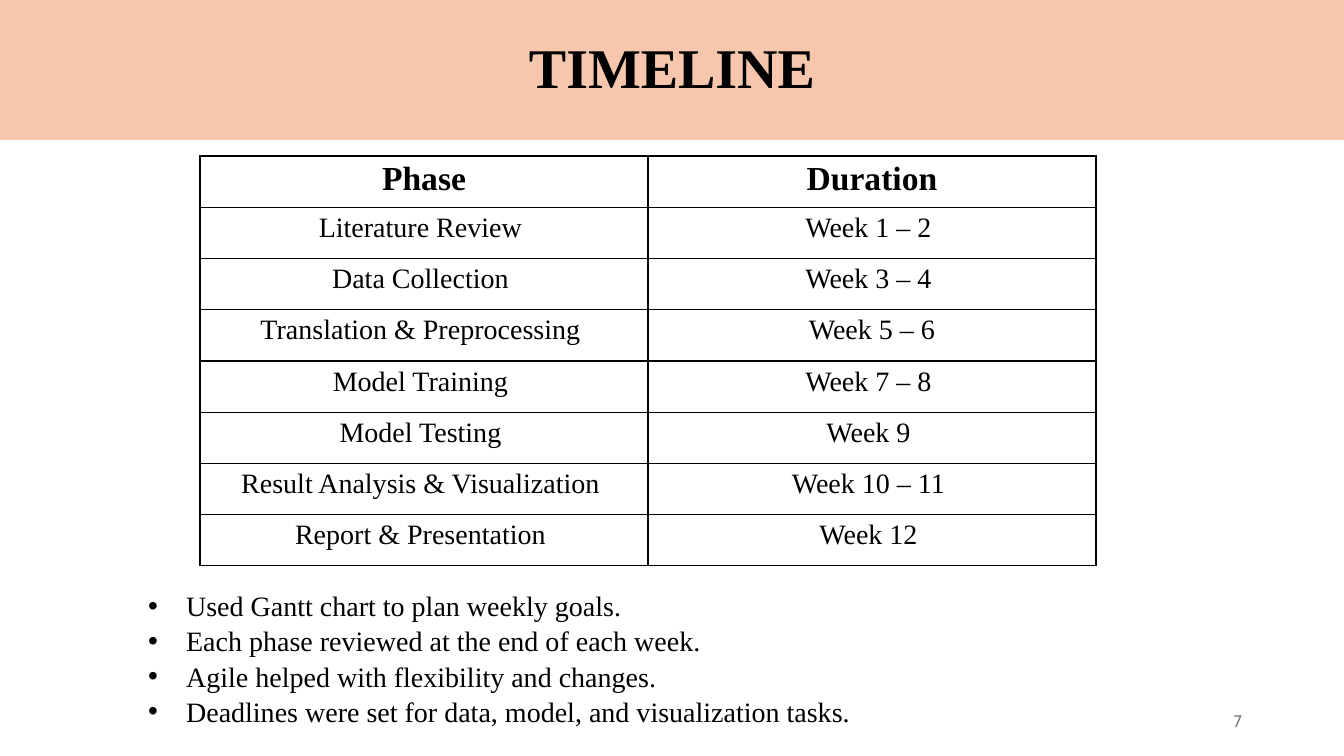
from lxml.etree import SubElement
from pptx import Presentation
from pptx.dml.color import RGBColor
from pptx.enum.text import MSO_ANCHOR, MSO_AUTO_SIZE, PP_ALIGN
from pptx.oxml.ns import qn
from pptx.util import Emu, Pt

COLORS = {"band": "F6C6AD", "ink": "000000", "number": "797979"}
SERIF = "Times New Roman"
PHASES = [
    ("Phase", "Duration"),
    ("Literature Review ", "Week 1 – 2 "),
    ("Data Collection ", "Week 3 – 4 "),
    ("Translation & Preprocessing ", "Week 5 – 6"),
    ("Model Training ", "Week 7 – 8 "),
    ("Model Testing ", "Week 9 "),
    ("Result Analysis & Visualization ", "Week 10 – 11 "),
    ("Report & Presentation ", "Week 12 "),
]
NOTES = [
    "Used Gantt chart to plan weekly goals.",
    "Each phase reviewed at the end of each week.",
    "Agile helped with flexibility and changes.",
    "Deadlines were set for data, model, and visualization tasks.",
]


def px(n):
    return Emu(round(n * 914400 / 100.8))


def rgb(name):
    return RGBColor.from_string(COLORS[name])


def place(sp, box):
    sp.left, sp.top, sp.width, sp.height = map(px, box)


def write(p, text, size=20, font=SERIF, color="ink", bold=False,
          align=PP_ALIGN.LEFT, spacing=None):
    p.alignment = align
    p.space_before = p.space_after = Pt(0)
    if spacing:
        p.line_spacing = spacing
    r = p.add_run()
    r.text = text
    r.font.size = Pt(size)
    r.font.name = font
    r.font.bold = bold
    r.font.color.rgb = rgb(color)


def add_title(s, box):
    sp = s.shapes.title
    place(sp, box)
    sp.fill.solid()
    sp.fill.fore_color.rgb = rgb("band")
    tf = sp.text_frame
    tf.auto_size = MSO_AUTO_SIZE.NONE
    tf.vertical_anchor = MSO_ANCHOR.MIDDLE
    write(tf.paragraphs[0], "TIMELINE", size=40, bold=True,
          align=PP_ALIGN.CENTER, spacing=0.9)


def set_borders(cell):
    tcPr = cell._tc.get_or_add_tcPr()
    for i, side in enumerate(("a:lnL", "a:lnR", "a:lnT", "a:lnB")):
        ln = tcPr.makeelement(qn(side), {"w": str(Pt(1))})
        fill = SubElement(ln, qn("a:solidFill"))
        SubElement(fill, qn("a:srgbClr"), val=COLORS["ink"])
        tcPr.insert(i, ln)


def add_schedule(s, box):
    rows, cols = len(PHASES), len(PHASES[0])
    tbl = s.shapes.add_table(rows, cols, *map(px, box)).table
    tbl.horz_banding = False
    for i, phase in enumerate(PHASES):
        for j, text in enumerate(phase):
            cell = tbl.cell(i, j)
            cell.fill.background()
            set_borders(cell)
            write(cell.text_frame.paragraphs[0], text, size=20 if i else 24,
                  bold=i == 0, align=PP_ALIGN.CENTER)


def add_notes_list(s, box):
    sp = s.placeholders[1]
    place(sp, box)
    tf = sp.text_frame
    tf.word_wrap = True
    tf.auto_size = MSO_AUTO_SIZE.SHAPE_TO_FIT_TEXT
    tf.vertical_anchor = MSO_ANCHOR.TOP
    indent = px(38)
    for i, text in enumerate(NOTES):
        p = tf.add_paragraph() if i else tf.paragraphs[0]
        write(p, text, spacing=1.05)
        pPr = p._p.get_or_add_pPr()
        pPr.set("marL", str(indent))
        pPr.set("indent", str(-indent))
        SubElement(pPr, qn("a:buFont"), typeface="Arial")
        SubElement(pPr, qn("a:buChar"), char="•")


def add_page_number(s, box):
    tf = s.shapes.add_textbox(*map(px, box)).text_frame
    tf.word_wrap = True
    tf.vertical_anchor = MSO_ANCHOR.MIDDLE
    write(tf.paragraphs[0], "7", size=12, font="Cabin", color="number",
          align=PP_ALIGN.RIGHT)


def main():
    prs = Presentation()
    prs.slide_width, prs.slide_height = px(1344), px(756)
    s = prs.slides.add_slide(prs.slide_layouts[1])
    add_title(s, (0, 0, 1344, 140))
    add_notes_list(s, (138, 582, 882, 146))
    add_schedule(s, (200, 156, 896, 410))
    add_page_number(s, (950, 701, 302, 40))
    prs.save("out.pptx")


if __name__ == "__main__":
    main()
